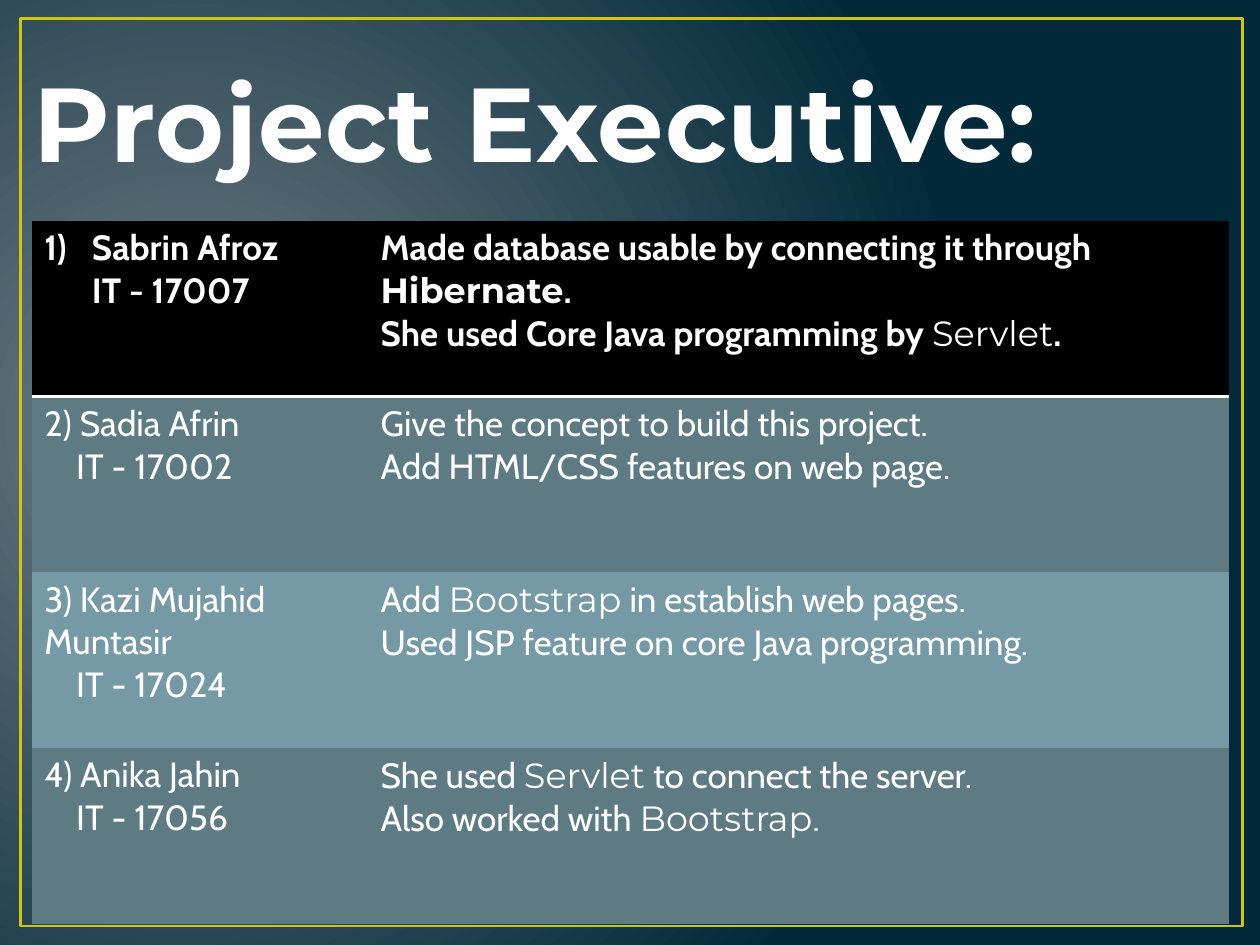
from dataclasses import dataclass

from lxml.etree import SubElement
from pptx import Presentation
from pptx.dml.color import RGBColor
from pptx.enum.shapes import MSO_SHAPE as Shape
from pptx.enum.text import MSO_ANCHOR as Anchor
from pptx.oxml.ns import qn
from pptx.util import Cm, Pt

COLORS = {
    "glow": "717C84", "night": "01293A", "frame": "CFC60D", "title": "FEFEFE",
    "text": "FFFFFF", "header": "000000", "dark band": "5E7B84", "light band": "759AA5",
}
BODY, ACCENT = "Cabin", "Montserrat"
PLAIN_TABLE = "{2D5ABB26-0587-4C30-8999-92F81FD0307C}"


@dataclass
class Term:
    """A technical term set in the accent font."""
    word: str
    bold: bool = False


@dataclass
class Member:
    name: str
    student_id: str
    tasks: list[list[str | Term]]
    band: str
    id_indent: float = 0.64
    heading: bool = False


MEMBERS = [
    Member("Sabrin Afroz", "IT - 17007", [
        ["Made database usable by connecting it through ", Term("Hibernate", True), "."],
        ["She used Core Java programming by ", Term("Servlet"), "."],
    ], "header", id_indent=0.96, heading=True),
    Member("2) Sadia Afrin", "IT - 17002", [
        ["Give the concept to build this project."],
        ["Add HTML/CSS features on web page."],
    ], "dark band"),
    Member("3) Kazi Mujahid Muntasir", "IT - 17024", [
        ["Add ", Term("Bootstrap"), " in establish web pages."],
        ["Used JSP feature on core Java programming."],
    ], "light band"),
    Member("4) Anika Jahin", "IT - 17056", [
        ["She used ", Term("Servlet"), " to connect the server."],
        ["Also worked with ", Term("Bootstrap"), "."],
    ], "dark band"),
]


def color(name: str) -> RGBColor:
    return RGBColor.from_string(COLORS[name])


def write(frame, lines: list[list[str | Term]], *, size: float = 20, font: str = BODY,
          bold: bool = False, ink: str = "text", spacing: int = 0) -> None:
    """Fill a text frame, one paragraph for each line."""
    for index, line in enumerate(lines):
        paragraph = frame.paragraphs[0] if index == 0 else frame.add_paragraph()
        for piece in line:
            is_term = isinstance(piece, Term)
            run = paragraph.add_run()
            run.text = piece.word if is_term else piece
            run.font.size = Pt(size)
            run.font.name = ACCENT if is_term else font
            run.font.bold = piece.bold if is_term else bold
            run.font.color.rgb = color(ink)
            if spacing:
                run.font._element.set("spc", str(spacing))


def indent(paragraph, left: float, numbered: bool = False) -> None:
    properties = paragraph._p.get_or_add_pPr()
    properties.set("marL", str(Cm(left)))
    if numbered:
        properties.set("indent", str(-Cm(left)))
        SubElement(properties, qn("a:buFont"), typeface="+mj-lt")
        SubElement(properties, qn("a:buAutoNum"), type="arabicParenR")


def underline_cell(cell, ink: str, width: float) -> None:
    properties = cell._tc.get_or_add_tcPr()
    border = SubElement(properties, qn("a:lnB"), w=str(Pt(width)))
    SubElement(SubElement(border, qn("a:solidFill")), qn("a:srgbClr"), val=COLORS[ink])
    properties.insert(0, border)


def draw_background(slide) -> None:
    fill = slide.background.fill
    fill.gradient()
    for stop, name in zip(fill.gradient_stops, ("glow", "night")):
        stop.color.rgb = color(name)
    # Turn the linear gradient into a radial one
    gradient = slide.element.find(".//" + qn("a:gradFill"))
    gradient.remove(gradient.find(qn("a:lin")))
    circle = SubElement(gradient, qn("a:path"), path="circle")
    SubElement(circle, qn("a:fillToRect"), l="15000", t="50000", r="85000", b="60000")


def draw_frame(slide) -> None:
    frame = slide.shapes.add_shape(Shape.RECTANGLE, Cm(0.41), Cm(0.38), Cm(24.64), Cm(18.29))
    frame.shadow.inherit = False
    frame.fill.background()
    frame.line.color.rgb = color("frame")
    frame.line.width = Pt(1.5)


def draw_title(slide, title: str) -> None:
    box = slide.shapes.add_textbox(Cm(0.43), Cm(0.64), Cm(22.86), Cm(3.18))
    box.text_frame.word_wrap = True
    box.text_frame.vertical_anchor = Anchor.BOTTOM
    write(box.text_frame, [[title]], size=60, font=ACCENT, bold=True, ink="title", spacing=50)


def draw_members(slide, members: list[Member]) -> None:
    holder = slide.shapes.add_table(len(members), 2, Cm(0.64), Cm(4.45), Cm(24.13), Cm(14.17))
    holder._element.find(".//" + qn("a:tableStyleId")).text = PLAIN_TABLE
    table = holder.table
    for column, width in zip(table.columns, (6.78, 17.35)):
        column.width = Cm(width)
    for row, member in zip(table.rows, members):
        person, work = row.cells
        write(person.text_frame, [[member.name], [member.student_id]], bold=member.heading)
        write(work.text_frame, member.tasks, bold=member.heading)
        name_line, id_line = person.text_frame.paragraphs
        indent(id_line, member.id_indent)
        if member.heading:
            indent(name_line, member.id_indent, numbered=True)
        for cell in row.cells:
            cell.fill.solid()
            cell.fill.fore_color.rgb = color(member.band)
            if member.heading:
                underline_cell(cell, "text", 2)


def main() -> None:
    deck = Presentation()
    deck.slide_width, deck.slide_height = Cm(25.4), Cm(19.05)
    slide = deck.slides.add_slide(deck.slide_layouts[6])
    draw_background(slide)
    draw_frame(slide)
    draw_title(slide, "Project Executive:")
    draw_members(slide, MEMBERS)
    deck.save("out.pptx")


if __name__ == "__main__":
    main()
